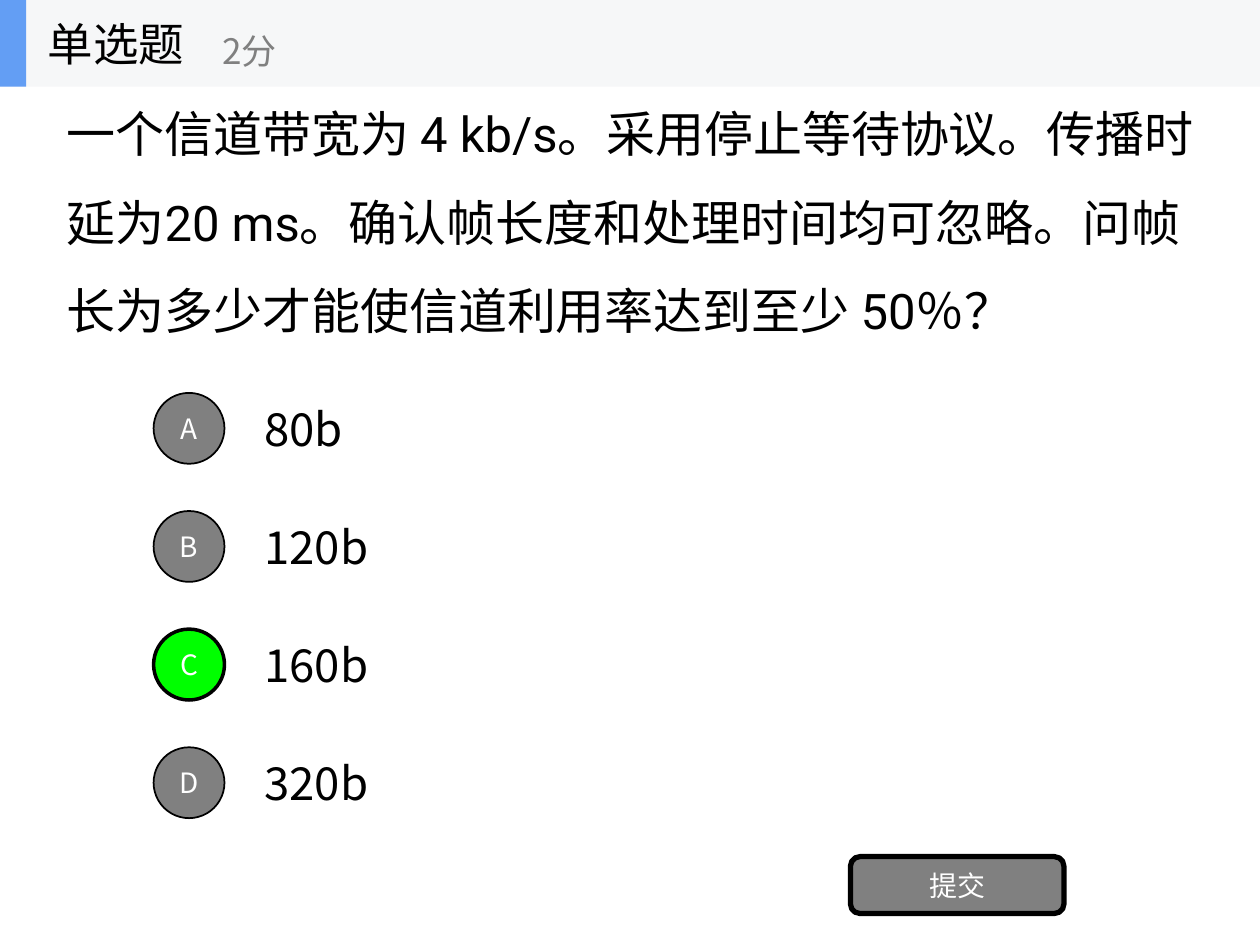
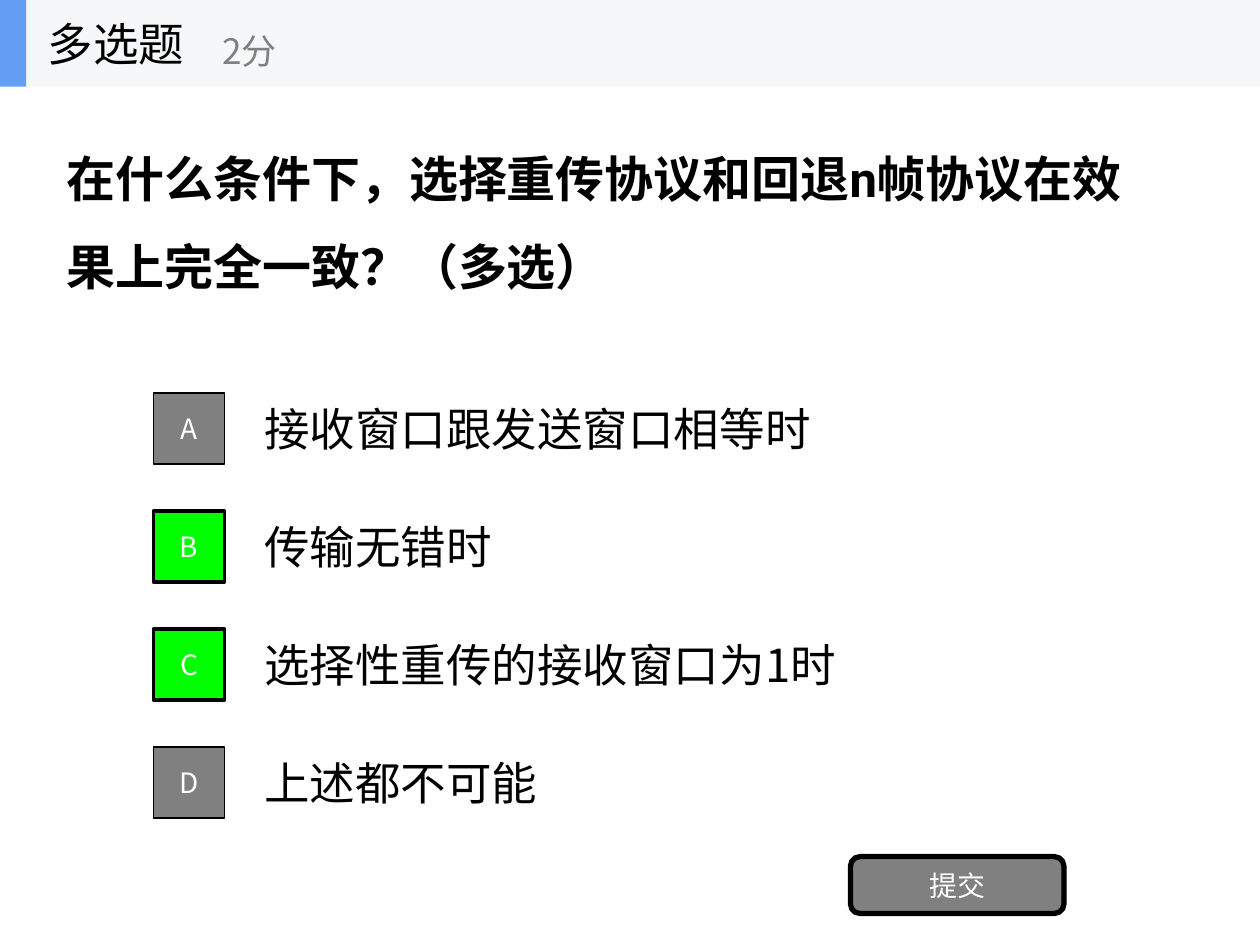
from dataclasses import dataclass

from lxml.etree import SubElement
from pptx import Presentation
from pptx.dml.color import RGBColor
from pptx.enum.lang import MSO_LANGUAGE_ID
from pptx.enum.shapes import MSO_SHAPE
from pptx.enum.text import MSO_ANCHOR, MSO_AUTO_SIZE, PP_ALIGN
from pptx.oxml.ns import qn
from pptx.shapes.autoshape import Shape
from pptx.slide import Slide
from pptx.util import Pt

BLACK = RGBColor(0x00, 0x00, 0x00)
WHITE = RGBColor(0xFF, 0xFF, 0xFF)
GRAY = RGBColor(0x80, 0x80, 0x80)
CORRECT_GREEN = RGBColor(0x00, 0xFF, 0x00)
BAND_GRAY = RGBColor(0xF6, 0xF7, 0xF8)
ACCENT_BLUE = RGBColor(0x63, 0x9E, 0xF4)

CJK_FONT = "Noto Sans CJK SC"
QUESTION_FONT = "Roboto"

TITLE_ONLY = 5
PAGE_WIDTH, PAGE_HEIGHT = 720, 540
BAND_HEIGHT = 49.5
OPTION_TOP, OPTION_STEP, OPTION_HEIGHT = 219.5, 67.5, 50.5
BADGE_SIZE = 40.5


@dataclass(frozen=True)
class Area:
    """A rectangle on the page, in points."""
    left: float
    top: float
    width: float
    height: float

    def lengths(self) -> tuple[Pt, Pt, Pt, Pt]:
        return Pt(self.left), Pt(self.top), Pt(self.width), Pt(self.height)


@dataclass(frozen=True)
class Option:
    text: str
    correct: bool = False


@dataclass(frozen=True)
class Quiz:
    kind: str
    question: str
    question_width: float
    badge_shape: MSO_SHAPE
    options: tuple[Option, ...]
    bold: bool = False


TITLE_AREA = Area(20, 0, 150, BAND_HEIGHT)
SCORE_AREA = Area(120, 8.5, 180, 40.5)
SUBMIT_AREA = Area(486, 489.5, 122, 32.5)

QUIZZES = (
    Quiz(
        "单选题",
        "一个信道带宽为 4 kb/s。采用停止等待协议。传播时延为20 ms。"
        "确认帧长度和处理时间均可忽略。问帧长为多少才能使信道利用率达到至少 50％？",
        669,
        MSO_SHAPE.OVAL,
        (Option("80b"), Option("120b"), Option("160b", correct=True), Option("320b")),
    ),
    Quiz(
        "多选题",
        "在什么条件下，选择重传协议和回退n帧协议在效果上完全一致？（多选）",
        617,
        MSO_SHAPE.RECTANGLE,
        (
            Option("接收窗口跟发送窗口相等时"),
            Option("传输无错时", correct=True),
            Option("选择性重传的接收窗口为1时", correct=True),
            Option("上述都不可能"),
        ),
        bold=True,
    ),
)


def write_text(box: Shape, text: str, *, size: float, color: RGBColor = BLACK,
               font: str = CJK_FONT, bold: bool = False,
               align: PP_ALIGN = PP_ALIGN.LEFT, line_spacing: float = 1.0) -> None:
    frame = box.text_frame
    frame.word_wrap = True
    frame.auto_size = MSO_AUTO_SIZE.NONE
    frame.vertical_anchor = MSO_ANCHOR.MIDDLE
    para = frame.paragraphs[0]
    para.alignment = align
    para.line_spacing = line_spacing
    span = para.add_run()
    span.text = text
    span.font.name = font
    span.font.size = Pt(size)
    span.font.bold = bold
    span.font.color.rgb = color
    span.font.language_id = MSO_LANGUAGE_ID.SIMPLIFIED_CHINESE
    SubElement(span._r.get_or_add_rPr(), qn("a:ea")).set("typeface", CJK_FONT)


def add_label(page: Slide, area: Area, text: str, **text_format) -> None:
    write_text(page.shapes.add_textbox(*area.lengths()), text, **text_format)


def add_block(page: Slide, shape: MSO_SHAPE, area: Area, fill: RGBColor,
              line_width: float = 0) -> Shape:
    block = page.shapes.add_shape(shape, *area.lengths())
    block.shadow.inherit = False
    block.fill.solid()
    block.fill.fore_color.rgb = fill
    if line_width:
        block.line.color.rgb = BLACK
        block.line.width = Pt(line_width)
    else:
        block.line.fill.background()
    return block


def add_button(page: Slide, shape: MSO_SHAPE, area: Area, text: str,
               fill: RGBColor, line_width: float) -> None:
    button = add_block(page, shape, area, fill, line_width)
    write_text(button, text, size=16, color=WHITE, align=PP_ALIGN.CENTER)


def add_header(page: Slide, kind: str) -> None:
    add_block(page, MSO_SHAPE.RECTANGLE, Area(0, 0, PAGE_WIDTH, BAND_HEIGHT), BAND_GRAY)
    add_block(page, MSO_SHAPE.RECTANGLE, Area(0, 0, 15, BAND_HEIGHT), ACCENT_BLUE)
    title = page.shapes.title
    title.left, title.top, title.width, title.height = TITLE_AREA.lengths()
    write_text(title, kind, size=26)
    # The title has to lie in front of the band.
    title.element.getparent().append(title.element)
    add_label(page, SCORE_AREA, "2分", size=20, color=GRAY)


def add_options(page: Slide, quiz: Quiz) -> None:
    for row, (letter, option) in enumerate(zip("ABCD", quiz.options)):
        top = OPTION_TOP + row * OPTION_STEP
        add_label(page, Area(144, top, 504, OPTION_HEIGHT), option.text, size=26)
        badge_area = Area(87.75, top + (OPTION_HEIGHT - BADGE_SIZE) / 2,
                          BADGE_SIZE, BADGE_SIZE)
        add_button(page, quiz.badge_shape, badge_area, letter,
                   CORRECT_GREEN if option.correct else GRAY,
                   2 if option.correct else 1)


def add_quiz_page(deck: Presentation, quiz: Quiz) -> None:
    page = deck.slides.add_slide(deck.slide_layouts[TITLE_ONLY])
    add_label(page, Area(31, 34, quiz.question_width, 168.5), quiz.question,
              size=28, font=QUESTION_FONT, bold=quiz.bold, line_spacing=1.5)
    add_options(page, quiz)
    add_button(page, MSO_SHAPE.ROUNDED_RECTANGLE, SUBMIT_AREA, "提交", GRAY, 3)
    add_header(page, quiz.kind)


def main() -> None:
    deck = Presentation()
    deck.slide_width, deck.slide_height = Pt(PAGE_WIDTH), Pt(PAGE_HEIGHT)
    for quiz in QUIZZES:
        add_quiz_page(deck, quiz)
    deck.save("out.pptx")


if __name__ == "__main__":
    main()
